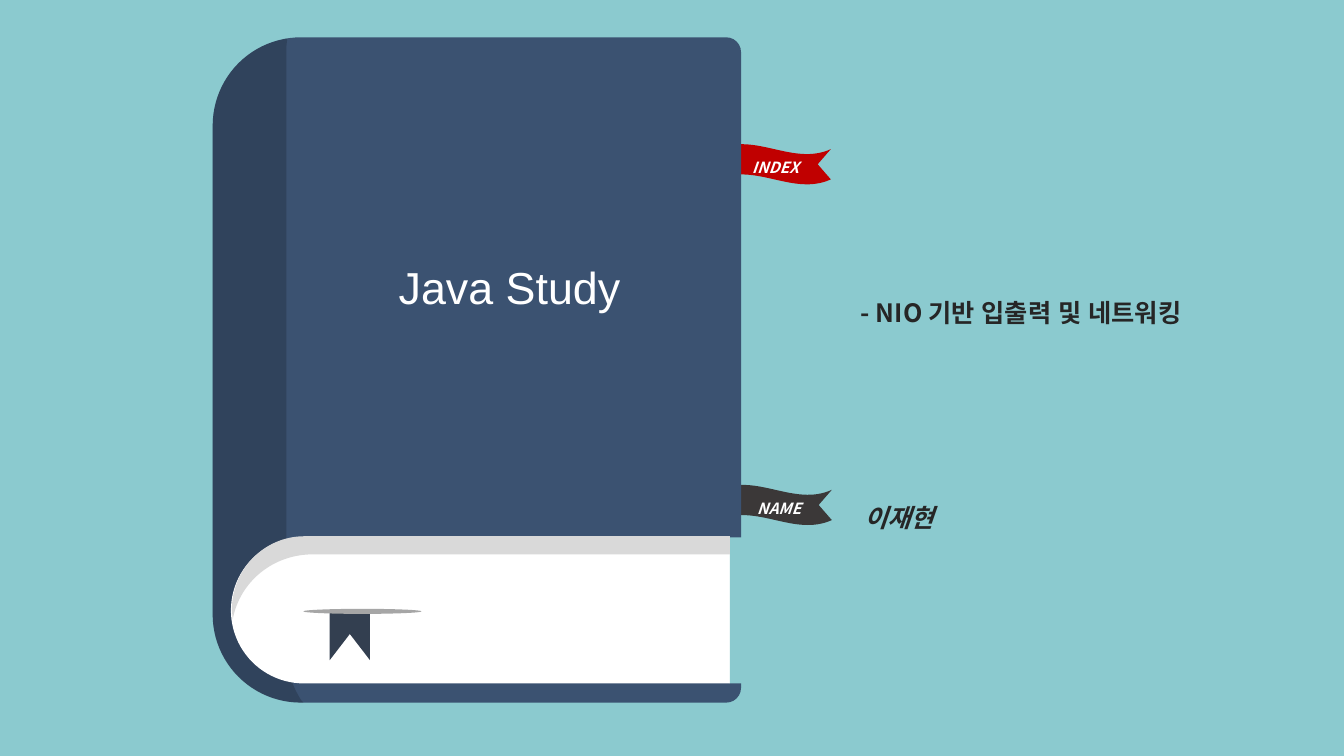
from lxml.etree import SubElement
from pptx import Presentation
from pptx.dml.color import RGBColor
from pptx.enum.lang import MSO_LANGUAGE_ID
from pptx.enum.shapes import MSO_SHAPE
from pptx.enum.text import MSO_ANCHOR, MSO_AUTO_SIZE, PP_ALIGN
from pptx.oxml.ns import qn
from pptx.util import Inches, Pt

SKY = RGBColor(0x8B, 0xCA, 0xCF)
NAVY = RGBColor(0x3B, 0x52, 0x71)
BLACK = RGBColor(0, 0, 0)
WHITE = RGBColor(0xFF, 0xFF, 0xFF)
INK = RGBColor(0x26, 0x26, 0x26)
RED = RGBColor(0xC0, 0, 0)
CHARCOAL = RGBColor(0x3B, 0x38, 0x38)
PALE = RGBColor(0xD9, 0xD9, 0xD9)
SLATE = RGBColor(0x33, 0x3F, 0x50)
GREY = RGBColor(0xA6, 0xA6, 0xA6)
KOREAN, LATIN = "Noto Sans CJK KR", "Arial"

# Content
TITLE = "Java Study"
TOPIC = "- NIO 기반 입출력 및 네트워킹"
AUTHOR = "이재현"
# label, colour, ribbon left, ribbon top, label left, label width
RIBBONS = [
    ("INDEX", RED, 7.12, 1.48, 7.36, 0.67),
    ("NAME", CHARCOAL, 7.13, 4.86, 7.41, 0.66),
]

# Book layout in inches: left, top, right, bottom
COVER = (2.11, 0.37, 7.35, 6.97)
PAGES = (2.29, 5.33, 7.24, 6.78)

# Outlines: a pair is a corner, a triple of pairs is a Bezier curve
SPINE = [
    (2.85, 0.38), (2.84, 0.47), (2.84, 6.46),
    ((2.84, 6.64), (2.9, 6.81), (2.99, 6.95)), (3.01, 6.97), (2.98, 6.97),
    ((2.5, 6.97), (2.11, 6.58), (2.11, 6.1)), (2.11, 1.25),
    ((2.11, 0.82), (2.41, 0.47), (2.81, 0.39)),
]
PAGE_SHADE = [
    (3.02, 5.32), (7.24, 5.32), (7.24, 5.5), (3.1, 5.5),
    ((2.71, 5.5), (2.38, 5.77), (2.31, 6.14)), (2.31, 6.15), (2.3, 6.05),
    ((2.3, 5.65), (2.62, 5.32), (3.02, 5.32)),
]
BOOKMARK = [(3.27, 6.05), (3.67, 6.05), (3.67, 6.55), (3.47, 6.29), (3.27, 6.55)]


def ribbon_outline(left, top):
    width, height, wave = 1.12, 0.3, 0.17
    third, right, bottom = width / 3, left + width, top + height
    return [
        (left, bottom), (left, top),
        ((left + third, top - wave), (right - third, top + wave), (right, top)),
        (right - 0.13, top + height / 2), (right, bottom),
        ((right - third, bottom + wave), (left + third, bottom - wave), (left, bottom)),
    ]


def paint(shape, colour):
    shape.shadow.inherit = False
    shape.fill.solid()
    shape.fill.fore_color.rgb = colour
    shape.line.fill.background()
    return shape


def add_outline(page, outline, colour, bulge=0):
    """Freeform; bulge is how far its curves swing above and below its corners."""
    parts = [part if isinstance(part[0], tuple) else (part,) for part in outline]
    corners = [(Inches(part[-1][0]), Inches(part[-1][1])) for part in parts]
    builder = page.shapes.build_freeform(*corners[0])
    builder.add_line_segments(corners[1:], close=True)
    shape = builder.convert_to_shape()
    shape.top -= Inches(bulge)
    shape.height += 2 * Inches(bulge)

    # Redraw the segments so that the curves are true Bezier curves
    track = next(shape._element.iter(qn("a:path")))
    track.set("h", str(shape.height))
    for segment in list(track):
        track.remove(segment)
    for index, part in enumerate(parts):
        kind = "a:moveTo" if index == 0 else "a:cubicBezTo" if len(part) == 3 else "a:lnTo"
        segment = SubElement(track, qn(kind))
        for x, y in part:
            point = SubElement(segment, qn("a:pt"))
            point.set("x", str(Inches(x) - shape.left))
            point.set("y", str(Inches(y) - shape.top))
    SubElement(track, qn("a:close"))
    return paint(shape, colour)


def add_preset(page, kind, left, top, width, height, colour):
    return paint(page.shapes.add_shape(
        kind, Inches(left), Inches(top), Inches(width), Inches(height)), colour)


def add_left_rounded(page, edges, rounding, colour):
    """Rounded-top rectangle turned so that its top lies on the left."""
    left, top, right, bottom = edges
    width, height = right - left, bottom - top
    shape = add_preset(page, MSO_SHAPE.ROUND_2_SAME_RECTANGLE,
                       (left + right - height) / 2, (top + bottom - width) / 2,
                       height, width, colour)
    shape.rotation = 270
    for index, value in enumerate(rounding):
        shape.adjustments[index] = value


def add_text(page, text, left, top, width, height, size, colour, font=KOREAN,
             bold=True, italic=False, spacing=None, align=None, wrap=True):
    box = page.shapes.add_textbox(Inches(left), Inches(top), Inches(width), Inches(height))
    frame = box.text_frame
    frame.word_wrap = wrap
    frame.auto_size = MSO_AUTO_SIZE.SHAPE_TO_FIT_TEXT
    para = frame.paragraphs[0]
    para.line_spacing, para.alignment = spacing, align
    span = para.add_run()
    span.text = text
    span.font.name, span.font.size = font, Pt(size)
    span.font.bold, span.font.italic = bold, italic
    span.font.color.rgb = colour
    span.font.language_id = MSO_LANGUAGE_ID.KOREAN
    SubElement(span.font._element, qn("a:ea")).set("typeface", font)
    return frame


def main():
    deck = Presentation()
    deck.slide_width, deck.slide_height = Inches(13.33), Inches(7.5)
    page = deck.slides.add_slide(deck.slide_layouts[6])
    page.background.fill.solid()
    page.background.fill.fore_color.rgb = SKY

    # Notes beside the book
    author = add_text(page, AUTHOR, 8.57, 4.7, 3.01, 0.57, 18, INK, italic=True, spacing=2.0)
    author.auto_size = MSO_AUTO_SIZE.NONE
    author.vertical_anchor = MSO_ANCHOR.MIDDLE
    author.margin_left = author.margin_right = author.margin_top = author.margin_bottom = 0
    add_text(page, TOPIC, 8.44, 2.6, 3.81, 0.71, 18, INK, spacing=2.0)

    # Ribbons
    for label, colour, left, top, label_left, label_width in RIBBONS:
        add_outline(page, ribbon_outline(left, top), colour, bulge=0.05)
        add_text(page, label, label_left, top - 0.05, label_width, 0.34, 11, WHITE,
                 italic=True, spacing=1.5, wrap=False)

    # Cover and spine
    add_left_rounded(page, COVER, (0.167, 0.028), NAVY)
    spine = add_outline(page, SPINE, BLACK)
    tint = spine._element.spPr.find(qn("a:solidFill"))[0]
    SubElement(tint, qn("a:alpha")).set("val", "18000")

    # Pages, with the cover cut back at their right edge
    add_left_rounded(page, PAGES, (0.5, 0), WHITE)
    add_preset(page, MSO_SHAPE.RECTANGLE, PAGES[2], PAGES[1], 1.05,
               PAGES[3] - PAGES[1], SKY)
    add_outline(page, PAGE_SHADE, PALE)

    # Bookmark and its slot
    add_outline(page, BOOKMARK, SLATE)
    add_preset(page, MSO_SHAPE.OVAL, 3.01, 6.04, 1.17, 0.05, GREY)

    # Title
    add_text(page, TITLE, 2.99, 2.53, 4.13, 0.64, 32, WHITE, font=LATIN,
             bold=False, align=PP_ALIGN.CENTER)
    deck.save("out.pptx")


if __name__ == "__main__":
    main()
